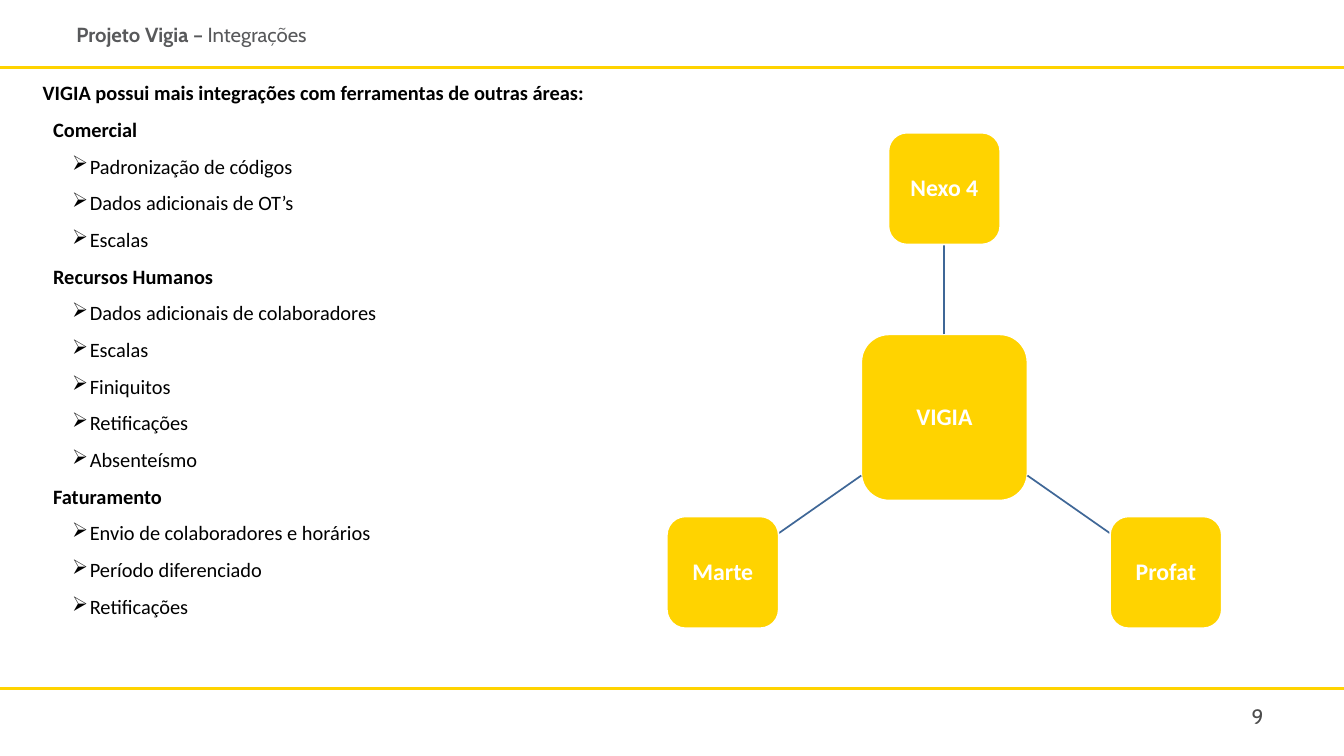
from lxml.etree import SubElement
from pptx import Presentation
from pptx.dml.color import RGBColor
from pptx.enum.shapes import MSO_CONNECTOR, MSO_SHAPE
from pptx.enum.text import MSO_ANCHOR, PP_ALIGN
from pptx.oxml.ns import qn
from pptx.util import Pt

WIDTH, HEIGHT = 1583.28, 890.64
YELLOW, WHITE, BLUE, BLACK = "FFD300", "FFFFFF", "3F6797", "000000"
TITLE_GRAY, NUMBER_GRAY = "58595B", "4C4C4C"

TOPICS = {
    "Comercial": ["Padronização de códigos", "Dados adicionais de OT’s", "Escalas"],
    "Recursos Humanos": ["Dados adicionais de colaboradores", "Escalas", "Finiquitos",
                         "Retificações", "Absenteísmo"],
    "Faturamento": ["Envio de colaboradores e horários", "Período diferenciado",
                    "Retificações"],
}
# Offsets of each satellite centre from the hub centre
SATELLITES = {"Nexo 4": (0, -269.6), "Profat": (261, 182.5), "Marte": (-261, 182.5)}


def color(value):
    return RGBColor.from_string(value)


def apply_format(target, values):
    for name, value in values.items():
        setattr(target, name, value)


def add_span(para, text, size, hex_color, bold=False, font="Calibri"):
    span = para.add_run()
    span.text = text
    apply_format(span.font, {"size": Pt(size), "bold": bold, "name": font})
    span.font.color.rgb = color(hex_color)


def add_text_box(page, box, margins=(0, 0, 0, 0)):
    frame = page.shapes.add_textbox(*map(Pt, box)).text_frame
    sides = ("margin_left", "margin_top", "margin_right", "margin_bottom")
    apply_format(frame, {"word_wrap": True, **dict(zip(sides, map(Pt, margins)))})
    return frame


def add_line(page, start, end, hex_color, width):
    line = page.shapes.add_connector(MSO_CONNECTOR.STRAIGHT, *map(Pt, (*start, *end)))
    line.line.color.rgb = color(hex_color)
    line.line.width = Pt(width)
    SubElement(line._element.spPr, qn("a:effectLst"))


def set_indent(para, left, hanging=0, bullet=None):
    properties = para._p.get_or_add_pPr()
    properties.set("marL", str(Pt(left)))
    properties.set("indent", str(Pt(-hanging)))
    if bullet:
        SubElement(properties, qn("a:buChar"), char=bullet)
    else:
        SubElement(properties, qn("a:buNone"))


def add_header(page, box):
    left, top, width, height = box
    add_line(page, (left, top + height), (left + width, top + height), YELLOW, 3)
    title = add_text_box(page, (left + 89.3, top + 24.5, 840, 30), (0, 1.4, 0, 0))
    para = title.paragraphs[0]
    set_indent(para, 0.7)
    add_span(para, "Projeto Vigia – ", 24, TITLE_GRAY, True, "Cabin")
    add_span(para, "Integrações", 24, TITLE_GRAY, False, "Cabin")


def add_footer(page, box):
    left, top, width, height = box
    add_line(page, (left, top), (left + width, top), YELLOW, 3)
    number = add_text_box(page, (left + width - 110.9, top + 18, 30.2, 29.5))
    para = number.paragraphs[0]
    set_indent(para, 2.2)
    para.line_spacing = Pt(29.1)
    add_span(para, "9", 24.5, NUMBER_GRAY, font="Cabin")


def add_topics(page, box):
    frame = add_text_box(page, box, (7.2, 3.6, 7.2, 3.6))
    lines = [("VIGIA possui mais integrações com ferramentas de outras áreas:",
              True, (22.3,))]
    for topic, items in TOPICS.items():
        lines.append((topic, True, (56.9, 22.3)))
        lines += [(item, False, (77.8, 20.9, "➢")) for item in items]
    for index, (text, bold, indent) in enumerate(lines):
        para = frame.add_paragraph() if index else frame.paragraphs[0]
        set_indent(para, *indent)
        para.line_spacing = 1.5
        add_span(para, text, 24, BLACK, bold)


def add_node(page, center, size, label):
    corner = [middle - size / 2 for middle in center]
    node = page.shapes.add_shape(MSO_SHAPE.ROUNDED_RECTANGLE,
                                 *map(Pt, (*corner, size, size)))
    node.shadow.inherit = False
    node.fill.solid()
    node.fill.fore_color.rgb = color(YELLOW)
    node.line.color.rgb = color(WHITE)
    node.line.width = Pt(2)
    apply_format(node.text_frame, {"word_wrap": True,
                                   "vertical_anchor": MSO_ANCHOR.MIDDLE})
    para = node.text_frame.paragraphs[0]
    apply_format(para, {"alignment": PP_ALIGN.CENTER, "line_spacing": 0.9})
    add_span(para, label, 28, WHITE, True)


def add_hub_diagram(page, box):
    left, top, width, height = box
    hub_size, satellite_size = 195.8, 131.8
    center_x, center_y = left + width / 2, top + 335.5
    add_node(page, (center_x, center_y), hub_size, "VIGIA")
    for label, (dx, dy) in SATELLITES.items():
        # The spoke runs from the hub edge to the satellite edge
        reach = max(abs(dx), abs(dy))
        start, end = [(center_x + dx * share, center_y + dy * share)
                      for share in (hub_size / 2 / reach,
                                    1 - satellite_size / 2 / reach)]
        add_line(page, start, end, BLUE, 2)
        add_node(page, (center_x + dx, center_y + dy), satellite_size, label)


def main():
    deck = Presentation()
    apply_format(deck, {"slide_width": Pt(WIDTH), "slide_height": Pt(HEIGHT)})
    page = deck.slides.add_slide(deck.slide_layouts[6])
    add_header(page, (0, 0, WIDTH, 79.2))
    add_footer(page, (0, 811.4, WIDTH, 79.2))
    add_topics(page, (20.9, 77, 740, 697.7))
    add_hub_diagram(page, (785.6, 156.3, 653.8, 583.9))
    deck.save("out.pptx")


if __name__ == "__main__":
    main()
